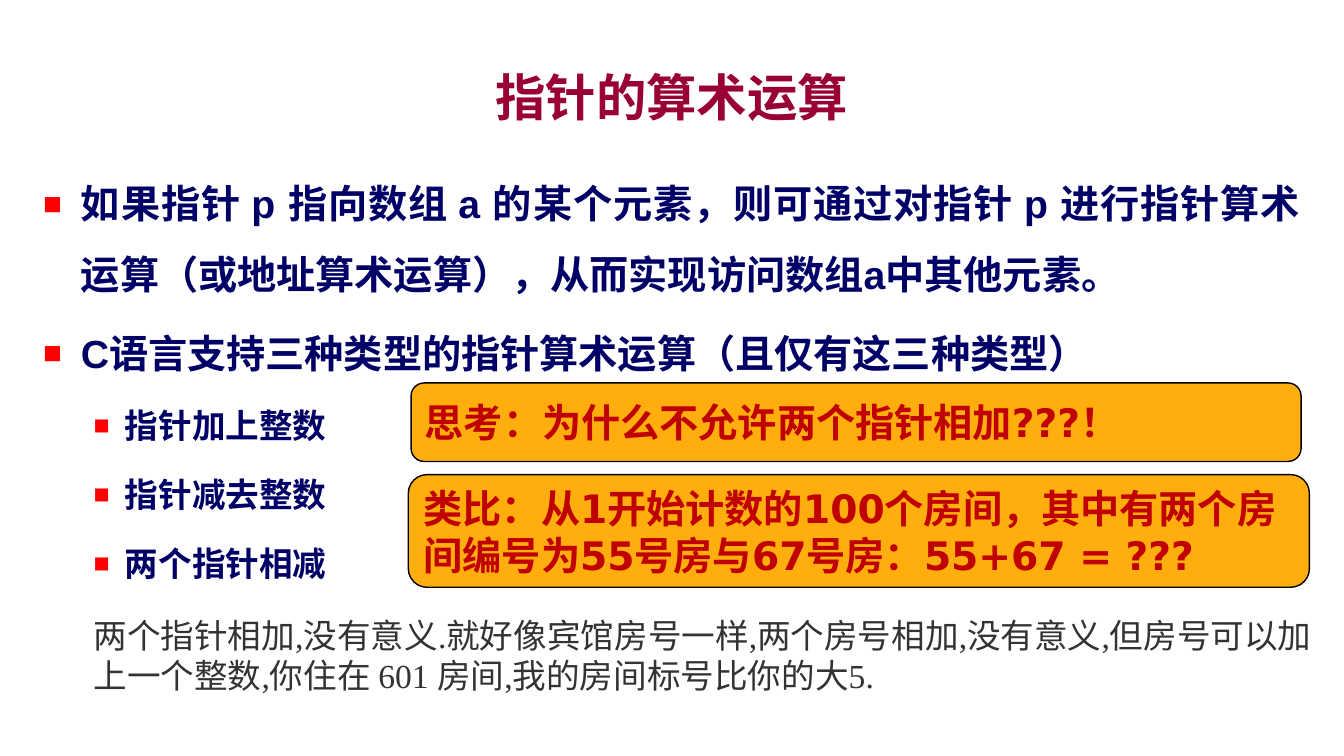
from lxml.etree import SubElement
from pptx import Presentation
from pptx.dml.color import RGBColor
from pptx.enum.shapes import MSO_SHAPE as Shape
from pptx.enum.text import MSO_ANCHOR as Anchor, PP_ALIGN as Align
from pptx.oxml.ns import qn
from pptx.util import Cm, Pt

COLORS = {"title": "990033", "point": "000066", "bullet": "FF0000",
          "callout": "FFAE0D", "outline": "000000", "question": "C00000",
          "note": "333333"}

TITLE = "指针的算术运算"
# level, alignment, text
POINTS = [
    (0, Align.JUSTIFY, "如果指针 p 指向数组 a 的某个元素，则可通过对指针 p 进行指针算术运算"
                       "（或地址算术运算），从而实现访问数组a中其他元素。"),
    (0, Align.LEFT, "C语言支持三种类型的指针算术运算（且仅有这三种类型）"),
    (1, Align.LEFT, "指针加上整数"),
    (1, Align.LEFT, "指针减去整数"),
    (1, Align.LEFT, "两个指针相减"),
]
# level: size in points, left margin and hanging indent in cm
LEVELS = {0: (28, 0.95, 0.95), 1: (24, 2.06, 0.79)}
# box in cm, space after in points, text
CALLOUTS = [
    ((10.36, 9.65, 22.43, 1.98), 6, "思考：为什么不允许两个指针相加???！"),
    ((10.29, 11.96, 22.71, 2.84), 0,
     "类比：从1开始计数的100个房间，其中有两个房间编号为55号房与67号房：55+67 = ???"),
]
NOTE = ("两个指针相加,没有意义.就好像宾馆房号一样,两个房号相加,没有意义,"
        "但房号可以加上一个整数,你住在 601 房间,我的房间标号比你的大5.")


def color(name):
    return RGBColor.from_string(COLORS[name])


def add_text(paragraph, text, size, font, color_name, bold=True):
    run = paragraph.add_run()
    run.text = text
    run.font.size = Pt(size)
    run.font.name = font
    run.font.bold = bold
    run.font.color.rgb = color(color_name)


def add_bullet(paragraph, margin, hanging):
    props = paragraph._p.get_or_add_pPr()
    props.set("marL", str(Cm(margin)))
    props.set("indent", str(-Cm(hanging)))
    tint = SubElement(props, qn("a:buClr"))
    SubElement(tint, qn("a:srgbClr"), val=COLORS["bullet"])
    SubElement(props, qn("a:buSzPct"), val="80000")
    SubElement(props, qn("a:buFont"), typeface="Arial")
    SubElement(props, qn("a:buChar"), char="■")


prs = Presentation()
prs.slide_width, prs.slide_height = Cm(33.87), Cm(19.05)
slide = prs.slides.add_slide(prs.slide_layouts[5])

# Title
title = slide.shapes.title
title.left, title.top, title.width, title.height = Cm(2.54), Cm(1.47), Cm(28.78), Cm(1.9)
title.text_frame.vertical_anchor = Anchor.MIDDLE
heading = title.text_frame.paragraphs[0]
heading.alignment = Align.CENTER
add_text(heading, TITLE, 36, "Arial", "title")

# Bulleted points
points = slide.shapes.add_textbox(Cm(0.84), Cm(3.81), Cm(32.18), Cm(14.4)).text_frame
points.word_wrap = True
for i, (level, alignment, text) in enumerate(POINTS):
    point = points.add_paragraph() if i else points.paragraphs[0]
    size, margin, hanging = LEVELS[level]
    point.level = level
    point.alignment = alignment
    point.line_spacing = 1.5
    point.space_before = Pt(6 if i else 0)
    add_bullet(point, margin, hanging)
    add_text(point, text, size, "Arial", "point")

# Question and analogy callouts
for box, space_after, text in CALLOUTS:
    callout = slide.shapes.add_shape(Shape.ROUNDED_RECTANGLE, *map(Cm, box))
    callout.shadow.inherit = False
    callout.fill.solid()
    callout.fill.fore_color.rgb = color("callout")
    callout.line.color.rgb = color("outline")
    callout.line.width = Pt(1)
    callout.text_frame.word_wrap = True
    callout.text_frame.vertical_anchor = Anchor.MIDDLE
    question = callout.text_frame.paragraphs[0]
    question.alignment = Align.LEFT
    question.space_after = Pt(space_after)
    add_text(question, text, 28, "DejaVu Sans", "question")

# Closing note
note = slide.shapes.add_textbox(Cm(2.11), Cm(15.37), Cm(31.32), Cm(2.31)).text_frame
note.word_wrap = True
add_text(note.paragraphs[0], NOTE, 24, "Times New Roman", "note", bold=False)

prs.save("out.pptx")
